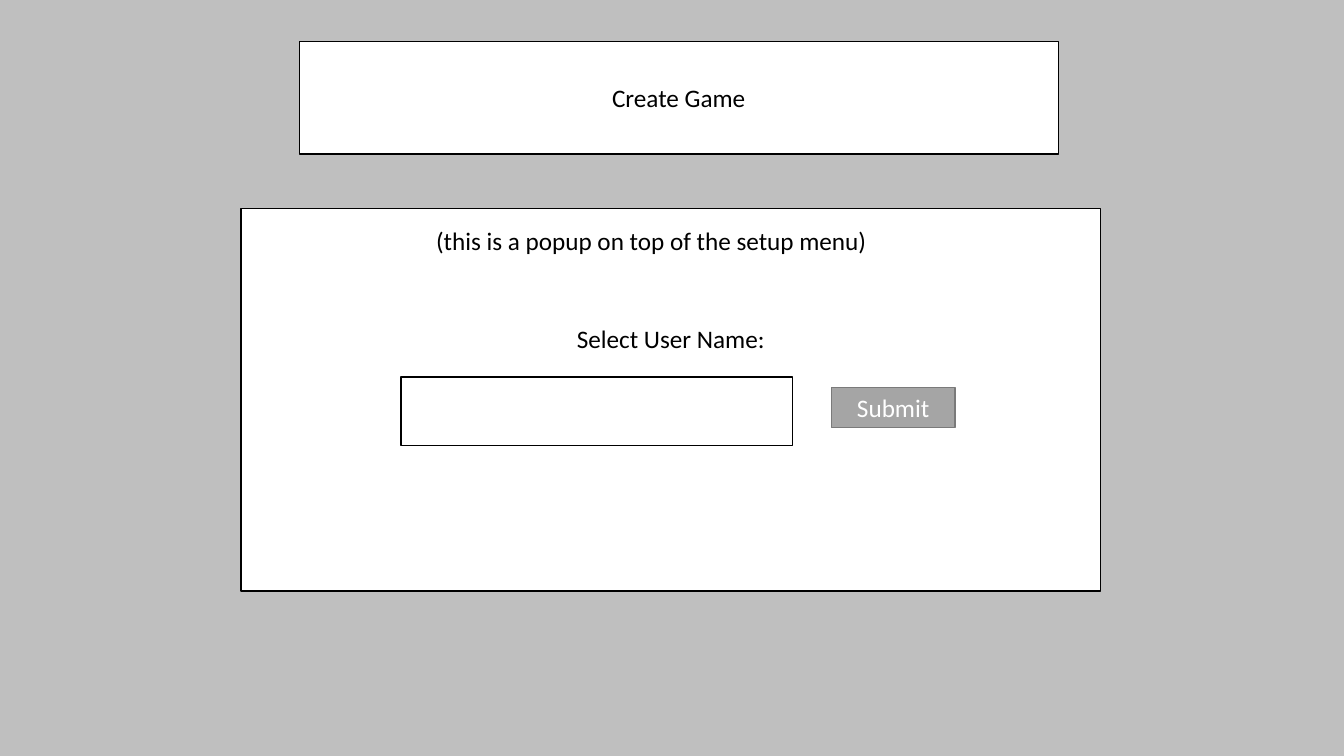
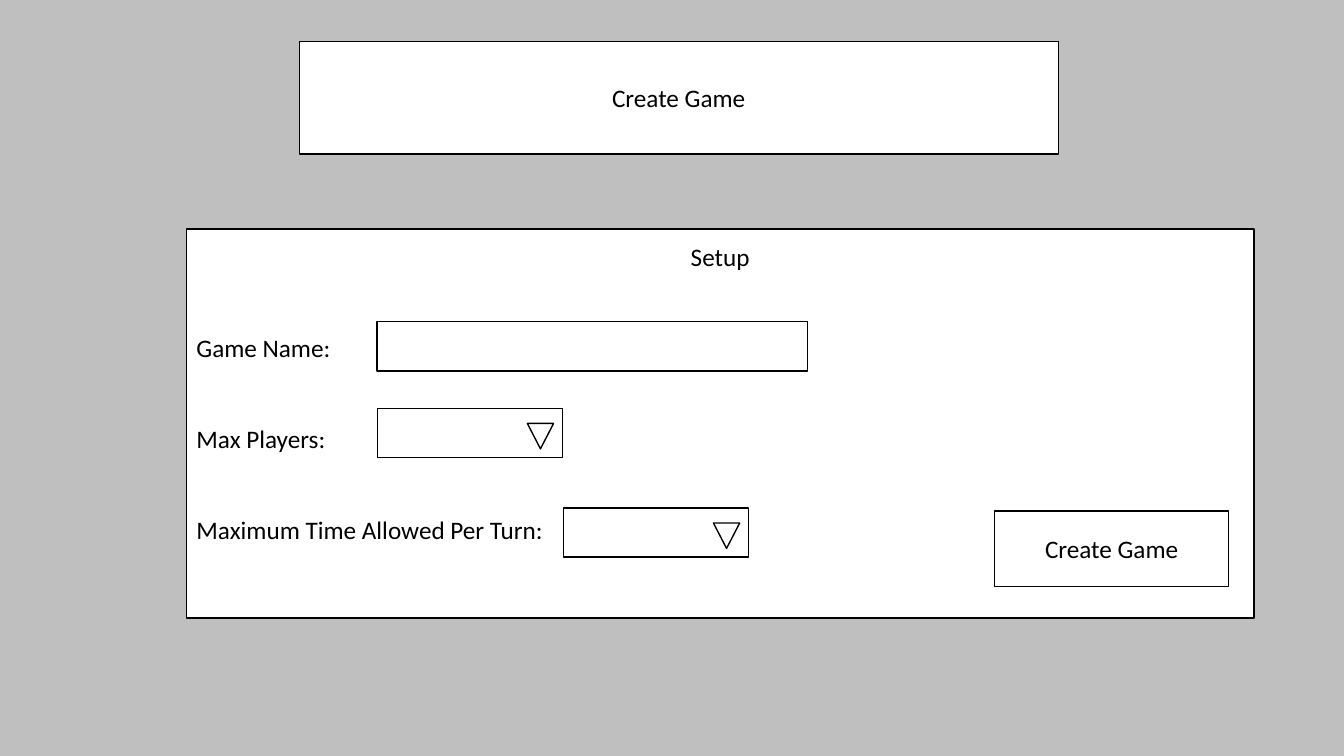
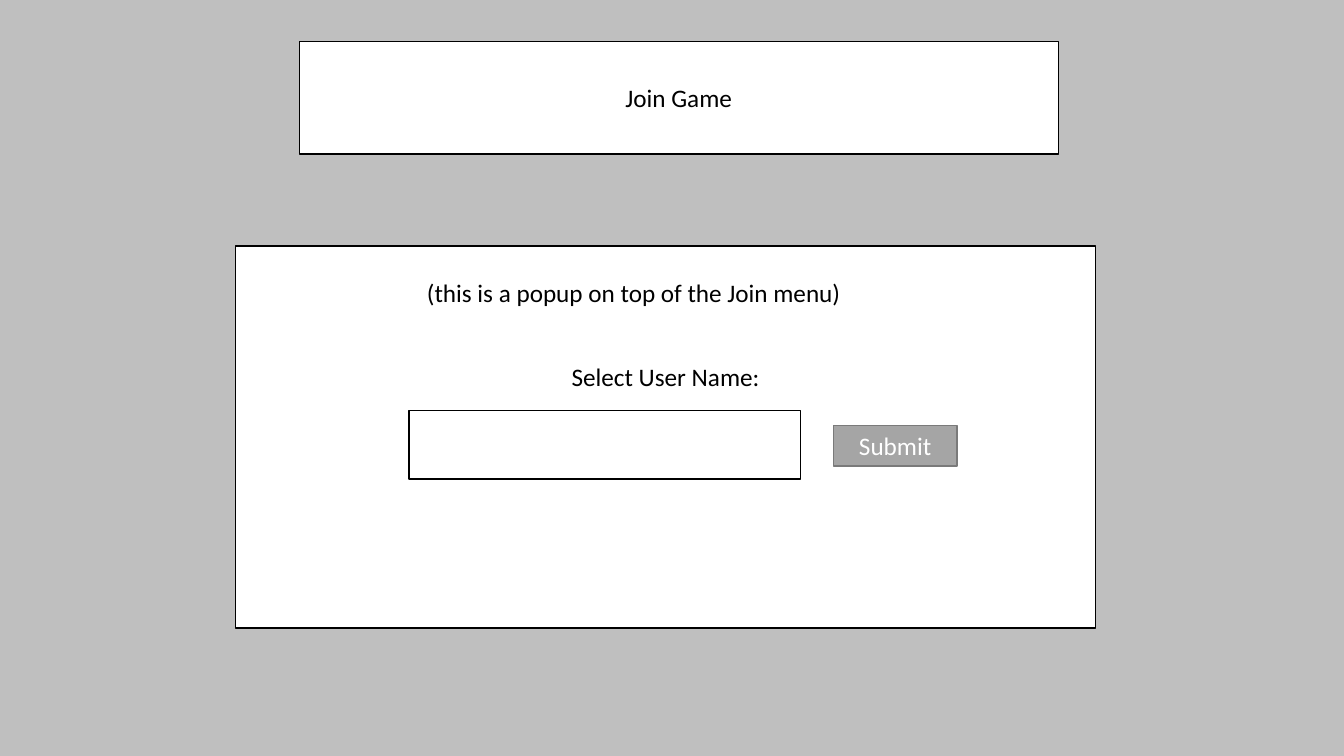
from pptx import Presentation
from pptx.dml.color import RGBColor
from pptx.enum.shapes import MSO_SHAPE as Shape
from pptx.enum.text import MSO_ANCHOR as Anchor, MSO_AUTO_SIZE as AutoSize, PP_ALIGN as Align
from pptx.util import Cm, Pt

BACKGROUND = RGBColor(0xBF, 0xBF, 0xBF)
WHITE = RGBColor(0xFF, 0xFF, 0xFF)
BLACK = RGBColor(0, 0, 0)
BUTTON_FILL = RGBColor(0xA5, 0xA5, 0xA5)
BUTTON_LINE = RGBColor(0x7A, 0x7A, 0x7A)
FONT = "Calibri"
TEXT_SIZE = Pt(18)
ROW_GAP = Pt(43.2)
TITLE_ONLY = 5

# Boxes are left, top, width, height in centimetres
TITLE_BOX = (7.54, 1.04, 19.13, 2.84)
POPUP_SIZE = (21.67, 9.63)
NAME_FIELD_SIZE = (9.86, 1.73)
SUBMIT_SIZE = (3.12, 1.02)
NOTE_SIZE = (12.5, 1.8)
DROPDOWN_SIZE = (4.67, 1.24)


def paint(shape, fill=WHITE, line=BLACK):
    shape.fill.solid()
    shape.fill.fore_color.rgb = fill
    shape.line.color.rgb = line
    shape.line.width = Pt(1)


def write(paragraph, text, color=BLACK, align=Align.CENTER):
    paragraph.alignment = align
    run = paragraph.add_run()
    run.text = text
    run.font.name = FONT
    run.font.size = TEXT_SIZE
    run.font.color.rgb = color


def add_box(slide, box, text="", fill=WHITE, line=BLACK, kind=Shape.RECTANGLE):
    shape = slide.shapes.add_shape(kind, *map(Cm, box))
    shape.shadow.inherit = False
    paint(shape, fill, line)
    if text:
        write(shape.text_frame.paragraphs[0], text, WHITE if fill == BUTTON_FILL else BLACK)
    return shape


def add_panel(slide, box, heading, heading_top):
    panel = add_box(slide, box, heading)
    panel.text_frame.vertical_anchor = Anchor.TOP
    panel.text_frame.margin_top = Cm(heading_top)
    return panel


def add_titled_slide(presentation, text):
    slide = presentation.slides.add_slide(presentation.slide_layouts[TITLE_ONLY])
    title = slide.shapes.title
    title.left, title.top, title.width, title.height = map(Cm, TITLE_BOX)
    paint(title)
    title.text_frame.auto_size = AutoSize.NONE
    title.text_frame.vertical_anchor = Anchor.MIDDLE
    write(title.text_frame.paragraphs[0], text)
    return slide


def add_name_popup(slide, corner, note, note_at, field_at, submit_at):
    left, top = corner

    def place(offset, size):
        return (left + offset[0], top + offset[1], *size)

    add_panel(slide, (*corner, *POPUP_SIZE), "Select User Name:", 2.9)
    add_box(slide, place(field_at, NAME_FIELD_SIZE))
    add_box(slide, place(submit_at, SUBMIT_SIZE), "Submit", BUTTON_FILL, BUTTON_LINE)

    # Note above the form
    note_frame = slide.shapes.add_textbox(*map(Cm, place(note_at, NOTE_SIZE))).text_frame
    note_frame.word_wrap = True
    write(note_frame.paragraphs[0], note, align=Align.LEFT)


def add_dropdown(slide, left, top):
    add_box(slide, (left, top, *DROPDOWN_SIZE))
    arrow = add_box(slide, (left + 3.78, top + 0.38, 0.66, 0.64), kind=Shape.ISOSCELES_TRIANGLE)
    arrow.rotation = 180


def add_setup_form(slide, box):
    left, top = box[:2]
    panel = add_panel(slide, box, "Setup", 0.32)
    for label in ("Game Name:", "Max Players:", "Maximum Time Allowed Per Turn:"):
        paragraph = panel.text_frame.add_paragraph()
        paragraph.space_before = ROW_GAP
        write(paragraph, label, align=Align.LEFT)

    # Inputs beside the labels
    add_box(slide, (left + 4.8, top + 2.34, 10.85, 1.24))
    add_dropdown(slide, left + 4.81, top + 4.52)
    add_dropdown(slide, left + 9.5, top + 7.03)
    add_box(slide, (left + 20.37, top + 7.11, 5.89, 1.9), "Create Game")


def main():
    presentation = Presentation()
    presentation.slide_width, presentation.slide_height = Cm(33.87), Cm(19.05)
    background = presentation.slide_master.background.fill
    background.solid()
    background.fore_color.rgb = BACKGROUND

    # User name for a new game
    add_name_popup(add_titled_slide(presentation, "Create Game"), (6.07, 5.26),
                   "(this is a popup on top of the setup menu)",
                   note_at=(4.67, 0.3), field_at=(4.04, 4.24), submit_at=(14.88, 4.5))

    # Game setup
    add_setup_form(add_titled_slide(presentation, "Create Game"), (4.7, 5.77, 26.9, 9.8))

    # User name for joining
    add_name_popup(add_titled_slide(presentation, "Join Game"), (5.94, 6.2),
                   "(this is a popup on top of the Join menu)",
                   note_at=(4.57, 0.66), field_at=(4.37, 4.14), submit_at=(15.06, 4.52))

    presentation.save("out.pptx")


if __name__ == "__main__":
    main()
